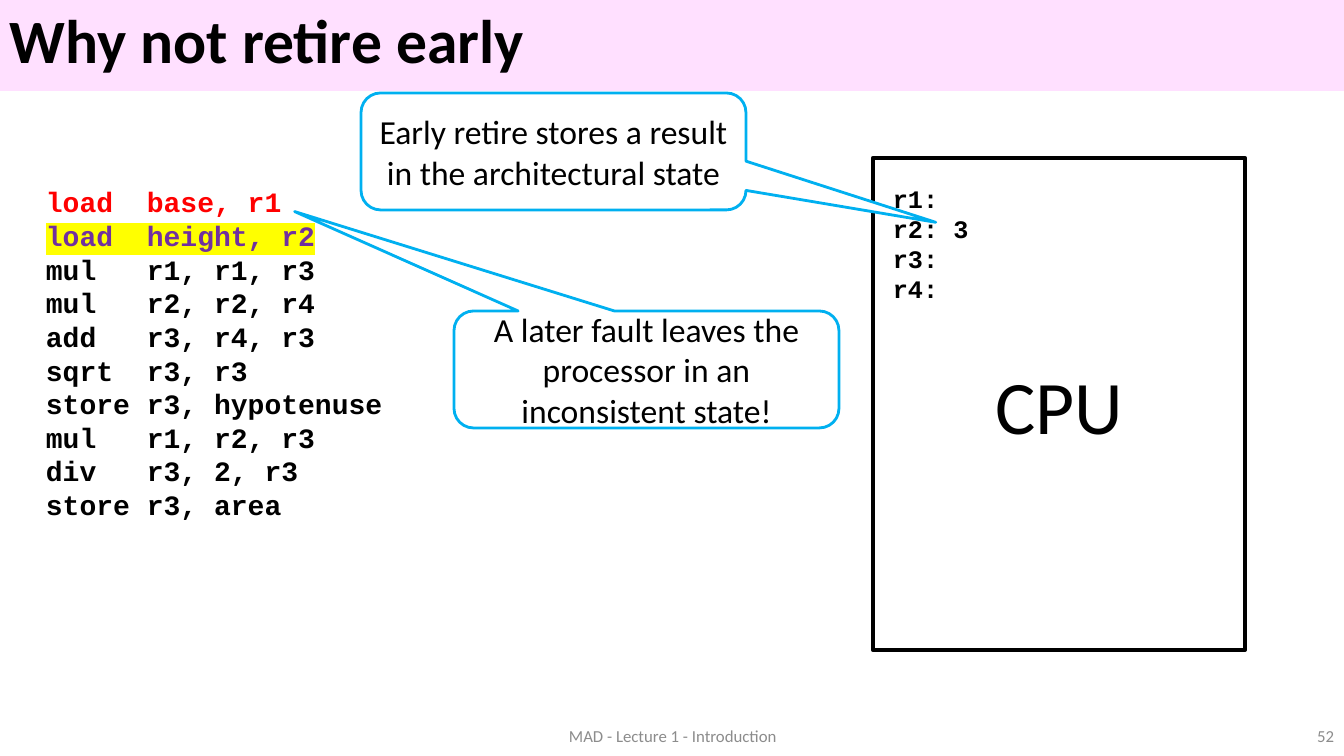
import pptx
import pptx.dml.color
import pptx.enum.shapes
import pptx.enum.text
import pptx.oxml
import pptx.oxml.ns
import pptx.util

COLORS = {
    "black": "000000", "white": "FFFFFF", "band": "FFE0FF", "red": "FF0000",
    "purple": "7030A0", "yellow": "FFFF00", "blue": "00B0F0", "gray": "8C8C8C",
}
ALIGN = pptx.enum.text.PP_ALIGN
ANCHOR = pptx.enum.text.MSO_ANCHOR
SHAPE = pptx.enum.shapes.MSO_SHAPE
EMU_PER_PX = 914400 / 100.8

PROGRAM = [
    ("load  base, r1", "red", None),
    ("load  height, r2", "purple", "yellow"),
    "mul   r1, r1, r3",
    "mul   r2, r2, r4",
    "add   r3, r4, r3",
    "sqrt  r3, r3",
    "store r3, hypotenuse",
    "mul   r1, r2, r3",
    "div   r3, 2, r3",
    "store r3, area",
]
REGISTERS = ["r1:", "r2: 3", "r3:", "r4:"]
CALLOUTS = [
    ("A later fault leaves the processor in an inconsistent state!",
     (454, 311, 385, 117), (-0.914, -1.35, 0.167)),
    ("Early retire stores a result in the architectural state",
     (361, 93, 385, 117), (0.993, 0.606, 0.167)),
]


def px(length):
    return pptx.util.Emu(round(length * EMU_PER_PX))


def rgb(name):
    return pptx.dml.color.RGBColor.from_string(COLORS[name])


class SlideBuilder:
    body = {"name": "Calibri", "bold": False}
    code = {"name": "Courier New", "bold": True}

    def __init__(self, presentation):
        self.slide = presentation.slides.add_slide(presentation.slide_layouts[6])

    def fill_text(self, shape, lines, size, style, color="black", align=ALIGN.LEFT,
                  anchor=ANCHOR.TOP, spacing=1.0):
        frame = shape.text_frame
        frame.word_wrap = True
        frame.vertical_anchor = anchor
        for index, line in enumerate(lines):
            text, ink, marker = (line, color, None) if isinstance(line, str) else line
            paragraph = frame.add_paragraph() if index else frame.paragraphs[0]
            paragraph.alignment = align
            paragraph.line_spacing = spacing
            run = paragraph.add_run()
            run.text = text
            for key, value in {"size": pptx.util.Pt(size), **style}.items():
                setattr(run.font, key, value)
            run.font.color.rgb = rgb(ink)
            if marker:
                self.highlight(run, marker)

    def highlight(self, run, color):
        properties = run._r.get_or_add_rPr()
        marker = pptx.oxml.parse_xml(
            f'<a:highlight {pptx.oxml.ns.nsdecls("a")}>'
            f'<a:srgbClr val="{COLORS[color]}"/></a:highlight>')
        properties.find(pptx.oxml.ns.qn("a:solidFill")).addnext(marker)

    def text(self, box, lines, size, style, **options):
        shape = self.slide.shapes.add_textbox(*map(px, box))
        self.fill_text(shape, lines, size, style, **options)

    def shape(self, kind, box, fill=None, line=None, width=0, adjustments=()):
        shape = self.slide.shapes.add_shape(kind, *map(px, box))
        shape.shadow.inherit = False
        for index, value in enumerate(adjustments):
            shape.adjustments[index] = value
        if fill:
            shape.fill.solid()
            shape.fill.fore_color.rgb = rgb(fill)
        else:
            shape.fill.background()
        if line:
            shape.line.color.rgb = rgb(line)
            shape.line.width = pptx.util.Pt(width)
        else:
            shape.line.fill.background()
        return shape

    def callout(self, text, box, adjustments):
        shape = self.shape(SHAPE.ROUNDED_RECTANGULAR_CALLOUT, box, "white", "blue", 2,
                           adjustments)
        self.fill_text(shape, [text], 24, self.body, align=ALIGN.CENTER,
                       anchor=ANCHOR.MIDDLE)


def main():
    presentation = pptx.Presentation()
    presentation.slide_width = px(1344)
    presentation.slide_height = px(756)
    builder = SlideBuilder(presentation)

    builder.shape(SHAPE.RECTANGLE, (0, 0, 1344, 91), "band")
    builder.text((0, 0, 1344, 88), ["Why not retire early"], 44,
                 {**builder.body, "bold": True}, anchor=ANCHOR.MIDDLE, spacing=0.9)
    builder.text((36, 180, 385, 350), PROGRAM, 20, builder.code)

    cpu = builder.shape(SHAPE.RECTANGLE, (873, 158, 372, 492), line="black", width=3)
    builder.fill_text(cpu, ["CPU"], 54, builder.body, align=ALIGN.CENTER,
                      anchor=ANCHOR.MIDDLE)
    builder.text((883, 178, 190, 132), REGISTERS, 18, builder.code)

    for text, box, adjustments in CALLOUTS:
        builder.callout(text, box, adjustments)

    footer = {"color": "gray", "anchor": ANCHOR.MIDDLE}
    builder.text((446, 716, 454, 40), ["MAD - Lecture 1 - Introduction"], 12, builder.body,
                 align=ALIGN.CENTER, **footer)
    builder.text((1041, 716, 303, 40), ["52"], 12, builder.body, align=ALIGN.RIGHT, **footer)
    presentation.save("out.pptx")


if __name__ == "__main__":
    main()
